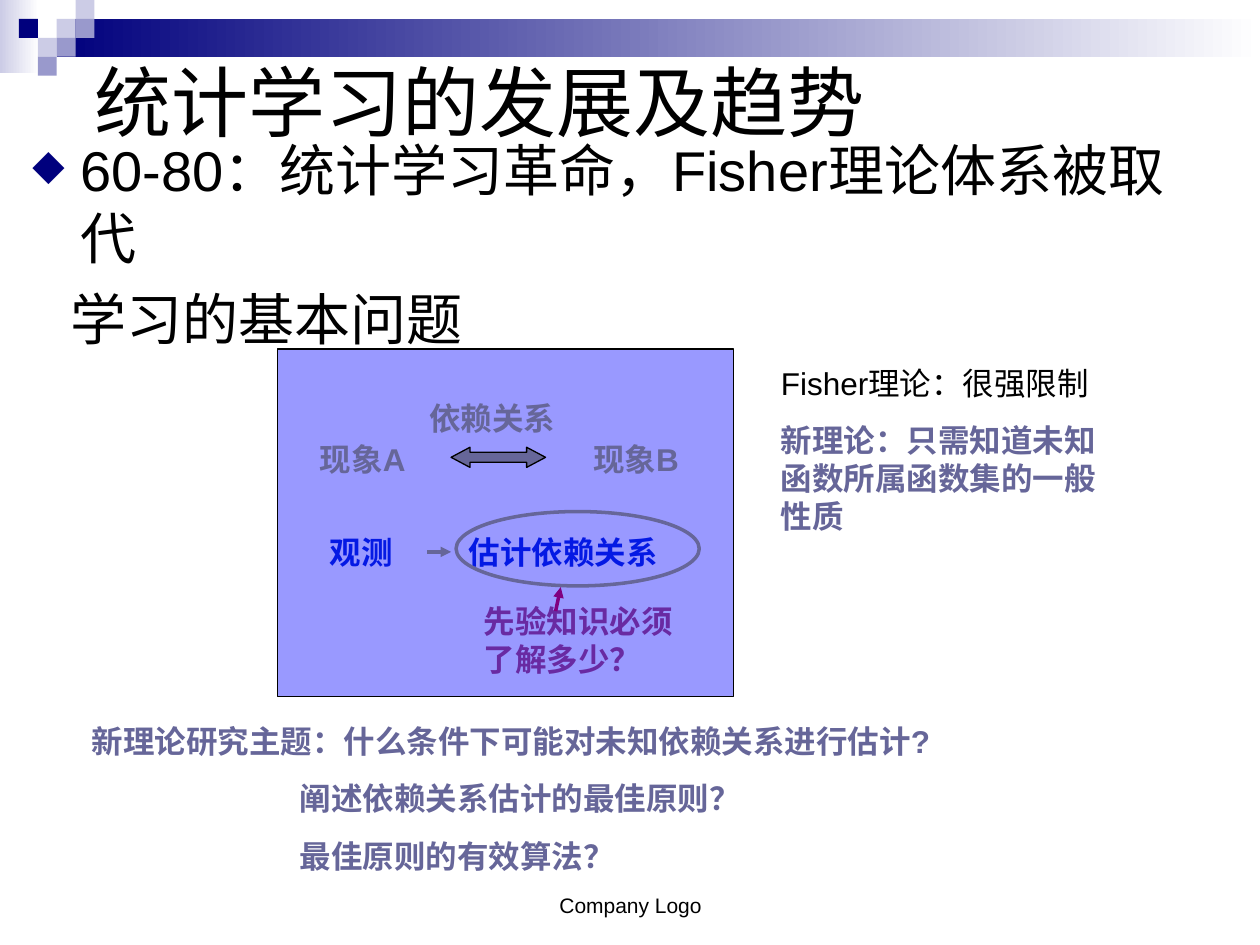
"""Build the slide on the development and trends of statistical learning."""
import pptx
import pptx.util
from lxml import etree
from pptx.dml.color import RGBColor
from pptx.enum.shapes import MSO_CONNECTOR, MSO_SHAPE
from pptx.enum.text import MSO_ANCHOR, PP_ALIGN
from pptx.oxml.ns import qn
from pptx.util import Inches

BLACK = RGBColor(0, 0, 0)
WHITE = RGBColor(0xFF, 0xFF, 0xFF)
NAVY = RGBColor(0, 0, 0x7D)
PALE = RGBColor(0xCC, 0xCC, 0xE6)
LILAC = RGBColor(0x99, 0x99, 0xCC)
PANEL = RGBColor(0x99, 0x99, 0xFF)
SLATE = RGBColor(0x66, 0x66, 0x99)
BLUE = RGBColor(0x04, 0x19, 0xE4)
VIOLET = RGBColor(0x69, 0x2A, 0xA2)
PURPLE = RGBColor(0x80, 0, 0x80)

BANDS = [((0, 0, 0.31, 0.58), PALE), ((0.45, 0.15, 9.55, 0.3), NAVY)]
TILE = 0.15
TILES = [(3, 1, PALE), (4, 0, PALE), (4, 1, LILAC), (2, 2, PALE),
         (1, 1, NAVY), (3, 2, LILAC), (2, 3, LILAC)]

TITLE = "统计学习的发展及趋势"
POINTS = [("60-80：统计学习革命，Fisher理论体系被取代", BLACK, False, 0.38),
          ("学习的基本问题", BLACK, False, 0.3)]
LABELS = [
    ((2.44, 3.44, 1.06, 0.4), "现象A", SLATE),
    ((4.61, 3.44, 1.06, 0.4), "现象B", SLATE),
    ((3.31, 3.12, 1.38, 0.4), "依赖关系", SLATE),
    ((2.52, 4.18, 1.06, 0.4), "观测", BLUE),
    ((3.62, 4.18, 1.89, 0.4), "估计依赖关系", BLUE),
    ((3.74, 4.73, 1.77, 0.7), "先验知识必须了解多少？", VIOLET),
]
THEORY = [("Fisher理论：很强限制", BLACK, False, 0),
          ("新理论：只需知道未知函数所属函数集的一般性质", SLATE, True, 0)]
TOPICS = [("新理论研究主题：什么条件下可能对未知依赖关系进行估计?", SLATE, True, 0),
          ("阐述依赖关系估计的最佳原则？", SLATE, True, 1.65),
          ("最佳原则的有效算法？", SLATE, True, 1.65)]
ARROWS = [((3.39, 4.38, 3.58, 4.38), SLATE), ((4.41, 4.85, 4.45, 4.66), PURPLE)]


def add_shape(slide, kind, box, fill=None, line=None, width=0.75):
    shape = slide.shapes.add_shape(kind, *map(Inches, box))
    shape.shadow.inherit = False
    if fill is None:
        shape.fill.background()
    else:
        shape.fill.solid()
        shape.fill.fore_color.rgb = fill
    if line is None:
        shape.line.fill.background()
    else:
        shape.line.color.rgb = line
        shape.line.width = pptx.util.Pt(width)
    return shape


def add_band(slide, box, color):
    fill = add_shape(slide, MSO_SHAPE.RECTANGLE, box, color).fill
    fill.gradient()
    fill.gradient_angle = 0
    for stop, tint in zip(fill.gradient_stops, (color, WHITE)):
        stop.color.rgb = tint


def add_text(slide, box, rows, size=18, gap=11.2, anchor=MSO_ANCHOR.TOP, align=None):
    frame = slide.shapes.add_textbox(*map(Inches, box)).text_frame
    frame.word_wrap = True
    frame.vertical_anchor = anchor
    frame.text = "\n".join(row[0] for row in rows)
    for i, (para, row) in enumerate(zip(frame.paragraphs, rows)):
        color, bold, indent = row[1:]
        para.alignment = align
        if i:
            para.space_before = pptx.util.Pt(gap)
        if indent:
            para._p.get_or_add_pPr().set("marL", str(Inches(indent)))
        font = para.runs[0].font
        font.name = "Arial"
        font.size = pptx.util.Pt(size)
        font.bold = bold
        font.color.rgb = color
    return frame


def add_bullet(para, indent):
    props = para._p.get_or_add_pPr()
    props.set("indent", str(-Inches(indent)))
    tint = etree.SubElement(props, qn("a:buClr"))
    etree.SubElement(tint, qn("a:srgbClr"), val=str(NAVY))
    etree.SubElement(props, qn("a:buSzPct"), val="75000")
    etree.SubElement(props, qn("a:buChar"), char="◆")


def add_arrow(slide, ends, color):
    arrow = slide.shapes.add_connector(MSO_CONNECTOR.STRAIGHT, *map(Inches, ends))
    arrow.line.color.rgb = color
    arrow.line.width = pptx.util.Pt(2)
    etree.SubElement(arrow.line._get_or_add_ln(), qn("a:tailEnd"), type="triangle")
    etree.SubElement(arrow._element.spPr, qn("a:effectLst"))


def main():
    deck = pptx.Presentation()
    deck.slide_width, deck.slide_height = Inches(10), Inches(7.5)
    slide = deck.slides.add_slide(deck.slide_layouts[6])

    for box, color in BANDS:
        add_band(slide, box, color)
    for col, row, color in TILES:
        add_shape(slide, MSO_SHAPE.RECTANGLE,
                  (col * TILE, row * TILE, TILE, TILE), color)

    add_text(slide, (0.65, 0.05, 9, 1.5), [(TITLE, BLACK, False, 0)], 44,
             anchor=MSO_ANCHOR.MIDDLE)
    body = add_text(slide, (0.16, 1.03, 9.57, 5.95), POINTS, 32, 8)
    add_bullet(body.paragraphs[0], POINTS[0][3])
    add_text(slide, (3.42, 6.83, 3.17, 0.5), [("Company Logo", BLACK, False, 0)],
             12, anchor=MSO_ANCHOR.BOTTOM, align=PP_ALIGN.CENTER)

    add_shape(slide, MSO_SHAPE.RECTANGLE, (2.2, 2.77, 3.62, 2.76), PANEL, BLACK)
    both = add_shape(slide, MSO_SHAPE.LEFT_RIGHT_ARROW, (3.58, 3.55, 0.75, 0.16),
                     SLATE, BLACK)
    both.adjustments[0], both.adjustments[1] = 0.5, 0.94
    for box, text, color in LABELS:
        add_text(slide, box, [(text, color, True, 0)])
    add_shape(slide, MSO_SHAPE.OVAL, (3.62, 4.06, 1.93, 0.59), None, SLATE, 2)
    for ends, color in ARROWS:
        add_arrow(slide, ends, color)

    add_text(slide, (6.1, 2.84, 2.8, 1.46), THEORY)
    add_text(slide, (0.63, 5.68, 8.19, 1.32), TOPICS)
    deck.save("out.pptx")


if __name__ == "__main__":
    main()
